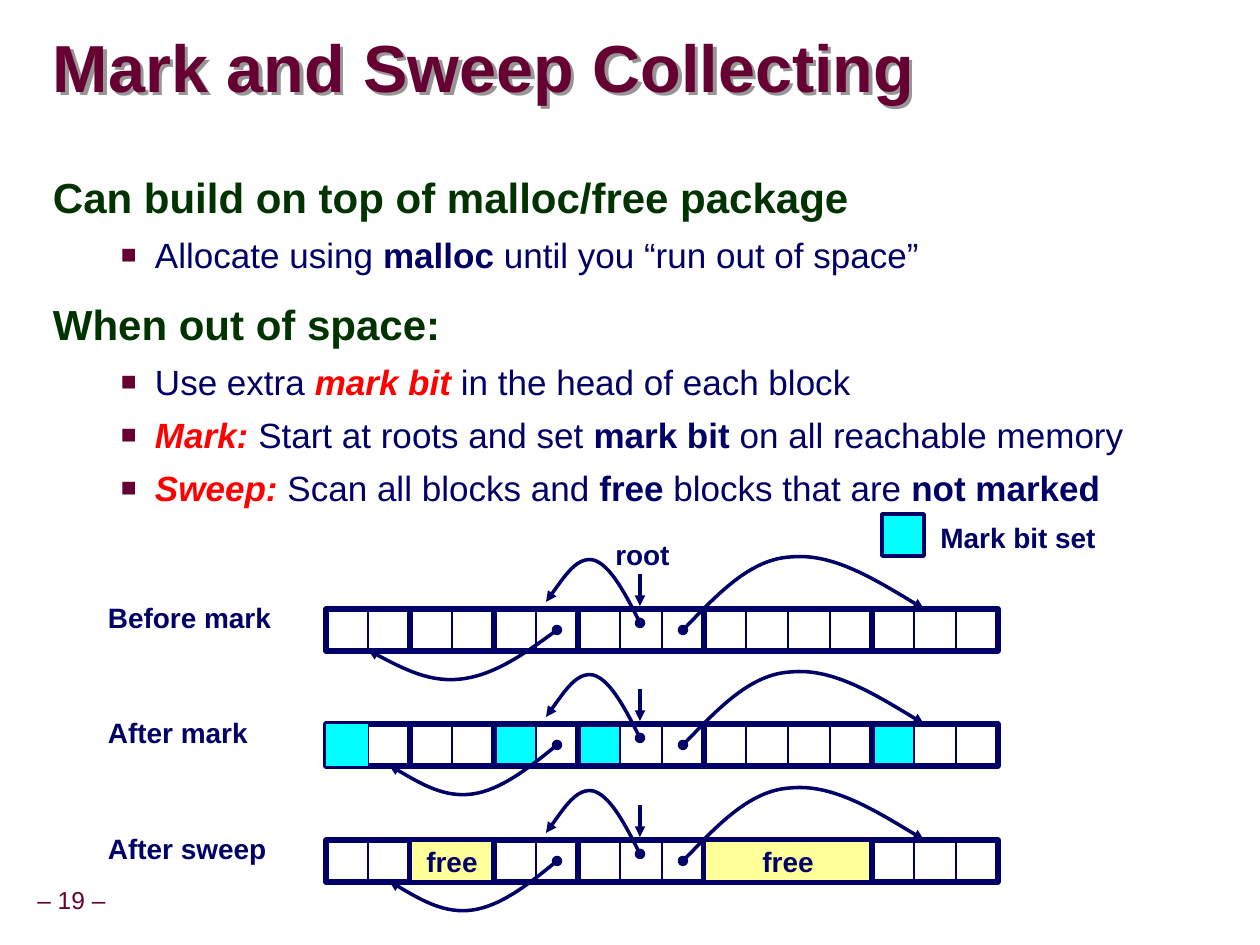
from dataclasses import dataclass
from itertools import accumulate

from lxml.etree import SubElement
from pptx import Presentation
from pptx.dml.color import RGBColor
from pptx.enum.shapes import MSO_CONNECTOR, MSO_SHAPE
from pptx.enum.text import MSO_ANCHOR, MSO_AUTO_SIZE, PP_ALIGN
from pptx.oxml.ns import qn
from pptx.util import Pt

SCALE = 914400 / 126
CELL = 42
BLOCKS = (2, 2, 2, 3, 4, 3)
STARTS = tuple(accumulate(BLOCKS, initial=0))
ROOT_CURVE = ((314, 14), (299, -16), (283, -45), (267, -49), (251, -52), (236, -29), (220, -7))
FORWARD_CURVE = ((357, 21), (391, -14), (425, -50), (465, -52), (506, -56), (552, -28), (598, 0))
LONG_BACK_CURVE = ((231, 21), (200, 44), (168, 66), (136, 70), (105, 74), (73, 58), (42, 41))
SHORT_BACK_CURVE = ((231, 21), (203, 44), (174, 66), (147, 70), (119, 74), (91, 58), (63, 41))


@dataclass(frozen=True)
class Theme:
    font: str = "Arial"
    maroon: str = "660033"
    green: str = "003300"
    navy: str = "000066"
    red: str = "FF0000"
    cyan: str = "00FFFF"
    yellow: str = "FFFF99"
    shadow: str = "969696"
    title_size: int = 38
    heading_size: int = 24
    bullet_size: int = 20
    label_size: int = 16
    page_size: int = 14


THEME = Theme()
STRONG = {"bold": True}
TERM = {"bold": True, "italic": True, "color": THEME.red}
BODY = (
    ("Can build on top of malloc/free package", None),
    (None, (("Allocate using ", {}), ("malloc", STRONG), (" until you “run out of space”", {}))),
    ("When out of space:", None),
    (None, (("Use extra ", {}), ("mark bit", TERM), (" in the head of each block", {}))),
    (None, (("Mark: ", TERM), ("Start at roots and set ", {}), ("mark bit", STRONG),
            (" on all reachable memory", {}))),
    (None, (("Sweep: ", TERM), ("Scan all blocks and ", {}), ("free", STRONG),
            (" blocks that are ", {}), ("not marked", STRONG))),
)


def px(length):
    return round(length * SCALE)


def rgb(color):
    return RGBColor.from_string(color)


def write(paragraph, text, size=THEME.label_size, color=THEME.navy, bold=False, italic=False,
          align=PP_ALIGN.LEFT, spacing=1.0):
    paragraph.alignment = align
    paragraph.line_spacing = spacing
    run = paragraph.add_run()
    run.text = text
    font = run.font
    font.name, font.size, font.bold, font.italic = THEME.font, Pt(size), bold, italic
    font.color.rgb = rgb(color)


def place(shape, box):
    shape.left, shape.top, shape.width, shape.height = map(px, box)


def set_insets(frame, horizontal, vertical):
    frame.margin_left = frame.margin_right = px(horizontal)
    frame.margin_top = frame.margin_bottom = px(vertical)


def add_label(slide, box, text, **text_format):
    frame = slide.shapes.add_textbox(*map(px, box)).text_frame
    frame.word_wrap = False
    frame.auto_size = MSO_AUTO_SIZE.SHAPE_TO_FIT_TEXT
    set_insets(frame, 13, 6)
    write(frame.paragraphs[0], text, **text_format)


def add_block(slide, box, fill=None, line_width=0, text=None):
    shape = slide.shapes.add_shape(MSO_SHAPE.RECTANGLE, *map(px, box))
    shape.shadow.inherit = False
    if fill:
        shape.fill.solid()
        shape.fill.fore_color.rgb = rgb(fill)
    else:
        shape.fill.background()
    if line_width:
        set_line(shape, line_width)
    else:
        shape.line.fill.background()
    if text:
        frame = shape.text_frame
        frame.word_wrap = False
        frame.vertical_anchor = MSO_ANCHOR.MIDDLE
        set_insets(frame, 13, 6)
        write(frame.paragraphs[0], text, bold=True, align=PP_ALIGN.CENTER)


def set_line(shape, width, head=None, tail=None):
    shape.line.color.rgb = rgb(THEME.navy)
    shape.line.width = Pt(width)
    line = shape._element.spPr.find(qn("a:ln"))
    for tag, kind in (("a:headEnd", head), ("a:tailEnd", tail)):
        if kind:
            SubElement(line, qn(tag), type=kind)


def add_line(slide, x, top, bottom, width, tail=None):
    line = slide.shapes.add_connector(MSO_CONNECTOR.STRAIGHT, px(x), px(top), px(x), px(bottom))
    set_line(line, width, tail=tail)
    SubElement(line._element.spPr, qn("a:effectLst"))


def add_curve(slide, left, top, points):
    builder = slide.shapes.build_freeform(*points[0], scale=SCALE)
    builder.add_line_segments(points[1:], close=False)
    shape = builder.convert_to_shape(px(left), px(top))
    shape.shadow.inherit = False
    shape.fill.background()
    set_line(shape, 2, head="oval", tail="triangle")
    path = next(shape._element.iter(qn("a:path")))
    segments = path.findall(qn("a:lnTo"))
    for start in range(0, len(segments), 3):
        curve = SubElement(path, qn("a:cubicBezTo"))
        for segment in segments[start:start + 3]:
            curve.append(segment[0])
            path.remove(segment)


def fill_title(slide, box):
    title = slide.shapes.title
    place(title, box)
    title.fill.background()
    effects = SubElement(title._element.spPr, qn("a:effectLst"))
    shadow = SubElement(effects, qn("a:outerShdw"), dist=str(px(5)), dir="2700000",
                        algn="ctr", rotWithShape="0")
    SubElement(shadow, qn("a:srgbClr"), val=THEME.shadow)
    frame = title.text_frame
    frame.auto_size = MSO_AUTO_SIZE.NONE
    frame.vertical_anchor = MSO_ANCHOR.MIDDLE
    set_insets(frame, 0, 0)
    write(frame.paragraphs[0], "Mark and Sweep Collecting", size=THEME.title_size,
          color=THEME.maroon, bold=True, spacing=0.87)


def set_bullet(paragraph, margin, indent, bullet):
    properties = paragraph._p.get_or_add_pPr()
    properties.set("marL", str(px(margin)))
    properties.set("indent", str(px(indent)))
    if not bullet:
        SubElement(properties, qn("a:buNone"))
        return
    color = SubElement(properties, qn("a:buClr"))
    SubElement(color, qn("a:srgbClr"), val=THEME.maroon)
    SubElement(properties, qn("a:buSzPct"), val="75000")
    SubElement(properties, qn("a:buFont"), typeface=THEME.font)
    SubElement(properties, qn("a:buChar"), char=bullet)


def fill_body(slide, box):
    body = slide.placeholders[1]
    place(body, box)
    frame = body.text_frame
    frame.auto_size = MSO_AUTO_SIZE.NONE
    set_insets(frame, 13, 6)
    for index, (heading, runs) in enumerate(BODY):
        paragraph = frame.add_paragraph() if index else frame.paragraphs[0]
        paragraph.space_before = Pt(15 if heading else 6.2)
        if heading:
            write(paragraph, heading, size=THEME.heading_size, color=THEME.green,
                  bold=True, spacing=0.95)
            set_bullet(paragraph, 53, -53, None)
        else:
            paragraph.level = 1
            for text, text_format in runs:
                write(paragraph, text, size=THEME.bullet_size, **text_format)
            set_bullet(paragraph, 102, -34, "■")


def draw_heap(slide, box, label, back_curve, marked=(), covered=(), freed=()):
    left, top, width, height = box
    for cell in marked:
        add_block(slide, (left + cell * CELL, top, CELL, height), THEME.cyan)
    for points in (ROOT_CURVE, FORWARD_CURVE, back_curve):
        add_curve(slide, left, top, points)
    add_label(slide, (left - 231, top - 14, 205, 47), label, bold=True)
    add_line(slide, left + 314, top - 35, top - 3, 2, tail="triangle")
    for index, (start, cells) in enumerate(zip(STARTS, BLOCKS)):
        block = (left + start * CELL, top, cells * CELL, height)
        add_block(slide, block, line_width=3)
        if index in freed:
            add_block(slide, block, THEME.yellow, 2, "free")
            continue
        for cell in range(start + 1, start + cells):
            add_line(slide, left + cell * CELL, top, top + height, 1)
    for cell in covered:
        add_block(slide, (left + cell * CELL, top, CELL, height), THEME.cyan)


def draw_legend(slide, box):
    left, top, width, height = box
    add_block(slide, (left, top, CELL, height), THEME.cyan, 2)
    add_label(slide, (left + CELL, top, width - CELL, 47), "Mark bit set", bold=True,
              align=PP_ALIGN.CENTER)


def main():
    presentation = Presentation()
    presentation.slide_width, presentation.slide_height = px(1260), px(945)
    slide = presentation.slides.add_slide(presentation.slide_layouts[1])
    fill_title(slide, (53, 32, 985, 79))
    fill_body(slide, (40, 169, 1145, 719))
    add_label(slide, (597, 532, 91, 47), "root", bold=True, align=PP_ALIGN.CENTER)
    rows = (
        ("Before mark", LONG_BACK_CURVE, {}),
        ("After mark", SHORT_BACK_CURVE, {"marked": (4, 6, 13), "covered": (0,)}),
        ("After sweep", SHORT_BACK_CURVE, {"freed": (1, 4)}),
    )
    for index, (label, back_curve, state) in enumerate(rows):
        box = (326, 609 + index * 231 // 2, sum(BLOCKS) * CELL, CELL)
        draw_heap(slide, box, label, back_curve, **state)
    draw_legend(slide, (882, 514, 230, CELL))
    add_label(slide, (-11, 882, 165, 39), "– 19 –", size=THEME.page_size, color=THEME.maroon,
              align=PP_ALIGN.CENTER, spacing=0.9)
    presentation.save("out.pptx")


if __name__ == "__main__":
    main()
